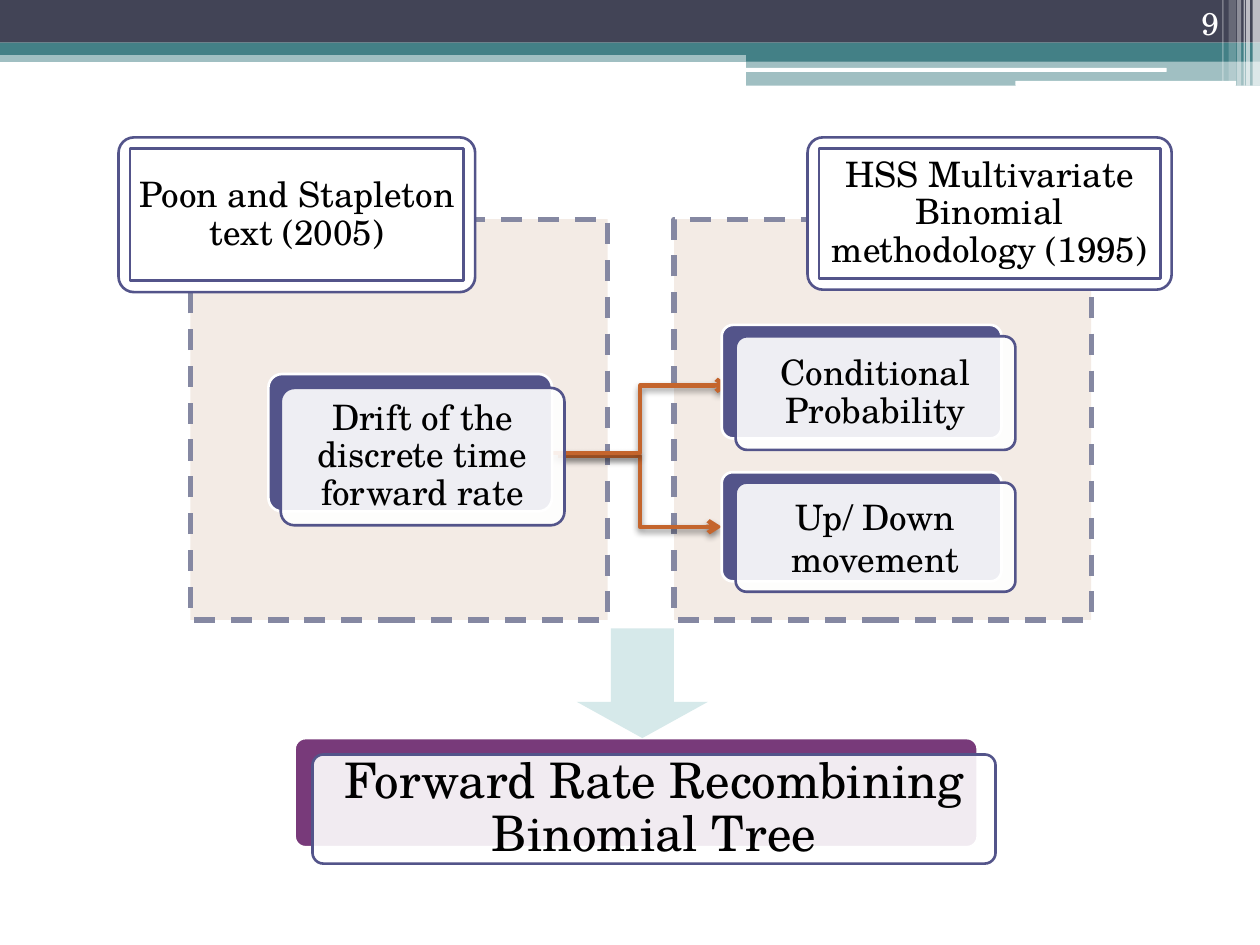
from lxml import etree
from pptx import Presentation
from pptx import util as u
from pptx.dml.color import RGBColor
from pptx.enum import dml, shapes, text
from pptx.oxml import parse_xml
from pptx.oxml.ns import qn

FONT = "TeX Gyre Schola"
A_NAMESPACE = "http://schemas.openxmlformats.org/drawingml/2006/main"
RECTANGLE = shapes.MSO_SHAPE.RECTANGLE
ROUNDED = shapes.MSO_SHAPE.ROUNDED_RECTANGLE
WHITE, BLACK, INDIGO, PURPLE = "FFFFFF", "000000", "53548A", "783A7A"
NAVY, TEAL, SAND, SLATE = "424456", "438086", "ECDED4", "8588A2"
RUST, PALE_TEAL = "C4652D", "D6E9EA"

BANDS = [
    ((0, 1.02, 25.4, 0.23), TEAL, 50),
    ((0, 0, 25.4, 0.86), NAVY, 100),
    ((0, 0.86, 25.4, 0.25), TEAL, 100),
    ((15.04, 0.99, 10.36, 0.25), TEAL, 100),
    ((15.04, 1.22, 10.36, 0.51), TEAL, 50),
]
HIGHLIGHTS = [(15.01, 1.37, 8.51, 0.08), (20.47, 1.63, 4.45, 0.1)]
STRIPES = [
    (25.25, 0.15, 1.73, 65),
    (25.12, 0.08, 1.73, 65),
    (25.07, 0.03, 1.73, 60),
    (24.94, 0.08, 1.73, 40),
    (24.77, 0.15, 1.63, 20),
    (24.64, 0.03, 1.63, 30),
]
PANEL_LEFTS = [13.59, 3.84]
SOURCES = [
    ("Poon and Stapleton text (2005)", (2.39, 2.77, 7.19, 3.12)),
    ("HSS Multivariate Binomial methodology (1995)", (16.28, 2.77, 7.34, 3.07)),
]
FRAME_GAP = 0.23
LINKS = [((11.25, 9.19), (14.55, 10.62)), ((11.1, 9.14), (14.71, 7.77))]
CARDS = [
    ("Conditional Probability", (14.55, 6.55, 5.64, 2.29), (0.28, 0.23), INDIGO, 20, 0.9),
    ("Up/ Down movement", (14.55, 9.52, 5.64, 2.2), (0.28, 0.21), INDIGO, 20, 1.0),
    ("Drift of the discrete time forward rate", (5.41, 7.54, 5.72, 2.77),
     (0.25, 0.28), INDIGO, 20, 0.9),
    ("Forward Rate Recombining Binomial Tree", (5.94, 14.88, 13.77, 2.2),
     (0.36, 0.33), PURPLE, 28, 0.9),
]


def color(value):
    return RGBColor.from_string(value)


def add_box(slide, kind, box, fill, opacity=100, line=None, width=1.5):
    shape = slide.shapes.add_shape(kind, *map(u.Cm, box))
    shape.shadow.inherit = False
    shape.fill.solid()
    shape.fill.fore_color.rgb = color(fill)
    if opacity < 100:
        fill_color = shape.fill._xPr.find(qn("a:solidFill"))[0]
        etree.SubElement(fill_color, qn("a:alpha")).set("val", str(opacity * 1000))
    if line:
        shape.line.color.rgb = color(line)
        shape.line.width = u.Pt(width)
    else:
        shape.line.fill.background()
    return shape


def add_rounded(slide, *args, **options):
    shape = add_box(slide, ROUNDED, *args, **options)
    shape.adjustments[0] = 0.1
    return shape


def write(shape, content, size, spacing=1.0, ink=BLACK, margin=0.18,
          align=text.PP_ALIGN.CENTER, anchor=text.MSO_ANCHOR.MIDDLE):
    frame = shape.text_frame
    frame.text = content
    frame.word_wrap = True
    frame.vertical_anchor = anchor
    frame.margin_left = frame.margin_right = u.Cm(margin)
    frame.margin_top = frame.margin_bottom = u.Cm(min(margin, 0.18))
    paragraph = frame.paragraphs[0]
    paragraph.alignment = align
    paragraph.line_spacing = spacing
    font = paragraph.runs[0].font
    font.name, font.size = FONT, u.Pt(size)
    font.color.rgb = color(ink)


def add_link(slide, start, end):
    connector = slide.shapes.add_connector(
        shapes.MSO_CONNECTOR.ELBOW, *map(u.Cm, start + end))
    connector.line.color.rgb = color(RUST)
    connector.line.width = u.Pt(2.5)
    line = connector.line._get_or_add_ln()
    etree.SubElement(line, qn("a:tailEnd")).set("type", "arrow")
    connector._element.spPr.append(parse_xml(
        f'<a:effectLst xmlns:a="{A_NAMESPACE}">'
        '<a:outerShdw blurRad="50800" dist="25400" dir="5400000">'
        '<a:srgbClr val="000000"><a:alpha val="45000"/></a:srgbClr>'
        '</a:outerShdw></a:effectLst>'))


def add_header(slide):
    for box, fill, opacity in BANDS:
        add_box(slide, RECTANGLE, box, fill, opacity)
    for box in HIGHLIGHTS:
        add_box(slide, ROUNDED, box, WHITE)
    for left, width, height, opacity in STRIPES:
        add_box(slide, RECTANGLE, (left, 0, width, height), WHITE, opacity)


def add_source(slide, label, box):
    add_rounded(slide, box, WHITE, line=INDIGO)
    left, top, width, height = box
    inner = (left + FRAME_GAP, top + FRAME_GAP,
             width - 2 * FRAME_GAP, height - 2 * FRAME_GAP)
    write(add_box(slide, RECTANGLE, inner, WHITE, line=INDIGO), label, 20, 0.9)


def add_card(slide, label, box, offset, backing, size, spacing):
    add_rounded(slide, box, backing, line=WHITE)
    left, top, width, height = box
    front = (left + offset[0], top + offset[1], width, height)
    card = add_rounded(slide, front, WHITE, 90, line=INDIGO)
    write(card, label, size, spacing)


def main():
    presentation = Presentation()
    presentation.slide_width, presentation.slide_height = u.Cm(25.4), u.Cm(19.05)
    slide = presentation.slides.add_slide(presentation.slide_layouts[6])
    add_header(slide)
    for left in PANEL_LEFTS:
        panel = add_box(slide, RECTANGLE, (left, 4.42, 8.41, 8.08), SAND, 60, SLATE, 3)
        panel.line.dash_style = dml.MSO_LINE.DASH
    for source in SOURCES:
        add_source(slide, *source)
    for link in LINKS:
        add_link(slide, *link)
    for card in CARDS:
        add_card(slide, *card)
    arrow = add_box(slide, shapes.MSO_SHAPE.DOWN_ARROW,
                    (11.63, 12.67, 2.64, 2.21), PALE_TEAL)
    arrow.adjustments[0], arrow.adjustments[1] = 0.48, 0.33
    number = slide.shapes.add_textbox(*map(u.Cm, (22.71, 0, 2.11, 1.02)))
    write(number, "9", 18, ink=WHITE, margin=0.25,
          align=text.PP_ALIGN.RIGHT, anchor=text.MSO_ANCHOR.BOTTOM)
    presentation.save("out.pptx")


if __name__ == "__main__":
    main()
